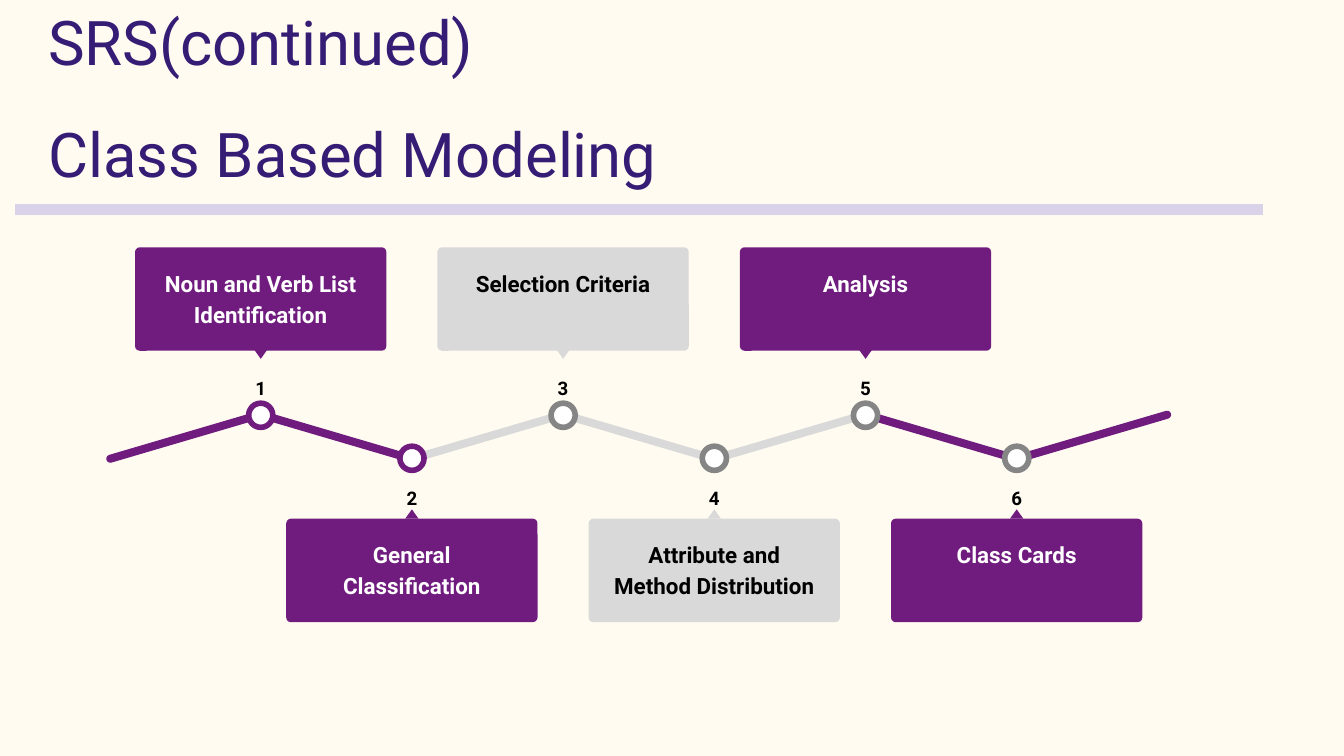
from pptx import Presentation
from pptx.dml.color import RGBColor
from pptx.enum.shapes import MSO_CONNECTOR, MSO_SHAPE
from pptx.enum.text import MSO_ANCHOR, MSO_AUTO_SIZE, PP_ALIGN
from pptx.oxml.ns import qn
from pptx.util import Inches, Pt

ROUNDED, OVAL, TRIANGLE = MSO_SHAPE.ROUNDED_RECTANGLE, MSO_SHAPE.OVAL, MSO_SHAPE.ISOSCELES_TRIANGLE
STRAIGHT = MSO_CONNECTOR.STRAIGHT
TOP, NO_AUTOFIT = MSO_ANCHOR.TOP, MSO_AUTO_SIZE.NONE
LEFT, CENTER = PP_ALIGN.LEFT, PP_ALIGN.CENTER

PURPLE, GREY, DARK_GREY = "701C7F", "D9D9D9", "858585"
WHITE, BLACK, INDIGO, LAVENDER, CREAM = "FFFFFF", "000000", "351C75", "D9D2E9", "FFFBF0"
rgb = RGBColor.from_string


def write(shape, text, size, color, bold=False, align=LEFT, spacing=1.0, inset=(0.1, 0.1)):
    frame = shape.text_frame
    frame.word_wrap = True
    frame.auto_size = NO_AUTOFIT
    frame.vertical_anchor = TOP
    frame.margin_left = frame.margin_right = Inches(inset[0])
    frame.margin_top = frame.margin_bottom = Inches(inset[1])
    paragraph = frame.paragraphs[0]
    paragraph.alignment = align
    paragraph.line_spacing = spacing
    run = paragraph.add_run()
    run.text = text
    run.font.name = "Roboto"
    run.font.size = Pt(size)
    run.font.bold = bold
    run.font.color.rgb = rgb(color)


def add_filled(kind, center_x, top, width, height, fill, rotation=0):
    """Add a borderless shape centred on center_x."""
    shape = slide.shapes.add_shape(
        kind, Inches(center_x - width / 2), Inches(top), Inches(width), Inches(height))
    shape.shadow.inherit = False
    shape.fill.solid()
    shape.fill.fore_color.rgb = rgb(fill)
    shape.line.fill.background()
    shape.rotation = rotation
    return shape


prs = Presentation()
prs.slide_width, prs.slide_height = Inches(10), Inches(10 * 9 / 16)
slide = prs.slides.add_slide(prs.slide_layouts[5])
slide.background.fill.solid()
slide.background.fill.fore_color.rgb = rgb(CREAM)

# Headings and the rule below them
title = slide.shapes.title
title.left, title.top, title.width, title.height = Inches(0.26), Inches(0.76), Inches(8.32), Inches(1.13)
write(title, "Class Based Modeling", 33, INDIGO)
section = slide.shapes.add_textbox(Inches(0.26), Inches(-0.07), Inches(4.81), Inches(0.6))
write(section, "SRS(continued)", 33, INDIGO)

rule = slide.shapes.add_connector(STRAIGHT, Inches(0.11), Inches(1.56), Inches(9.4), Inches(1.56))
rule.line.color.rgb = rgb(LAVENDER)
rule.line.width = Pt(6)
properties = rule._element.spPr
properties.append(properties.makeelement(qn("a:effectLst"), {}))

# Zigzag timeline: segments alternate between rising and falling
FIRST_X, STEP = 1.94, 1.125
segment_colors = [PURPLE, PURPLE, GREY, GREY, GREY, PURPLE, PURPLE]
for i, color in enumerate(segment_colors):
    tilt = 16.4 if i % 2 else -16.4
    segment = add_filled(ROUNDED, FIRST_X + (i - 0.5) * STEP, 3.22, 1.22, 0.06, color, tilt)
    segment.adjustments[0] = 0.5

# Steps: odd ones above the timeline, even ones below
steps = [
    ("Noun and Verb List Identification", PURPLE, WHITE, PURPLE),
    ("General Classification", PURPLE, WHITE, PURPLE),
    ("Selection Criteria", GREY, BLACK, DARK_GREY),
    ("Attribute and Method Distribution", GREY, BLACK, DARK_GREY),
    ("Analysis", PURPLE, WHITE, DARK_GREY),
    ("Class Cards", PURPLE, WHITE, DARK_GREY),
]
for i, (label, card_color, text_color, ring_color) in enumerate(steps):
    x = FIRST_X + i * STEP
    if i % 2 == 0:
        card_top, pointer_top, number_top, marker_top, pointer_turn = 1.84, 2.6, 2.68, 3.0, 180
    else:
        card_top, pointer_top, number_top, marker_top, pointer_turn = 3.86, 3.79, 3.5, 3.32, 0

    card = add_filled(ROUNDED, x, card_top, 1.87, 0.77, card_color)
    card.adjustments[0] = 0.045
    write(card, label, 12, text_color, bold=True, align=CENTER, spacing=1.15, inset=(0.15, 0.13))
    add_filled(TRIANGLE, x, pointer_top, 0.1, 0.07, card_color, pointer_turn)

    number = slide.shapes.add_textbox(Inches(x - 0.38), Inches(number_top), Inches(0.76), Inches(0.3))
    write(number, str(i + 1), 10, BLACK, bold=True, align=CENTER, spacing=1.15)

    marker = add_filled(OVAL, x, marker_top, 0.18, 0.18, WHITE)
    marker.line.color.rgb = rgb(ring_color)
    marker.line.width = Pt(3)

prs.save("out.pptx")
